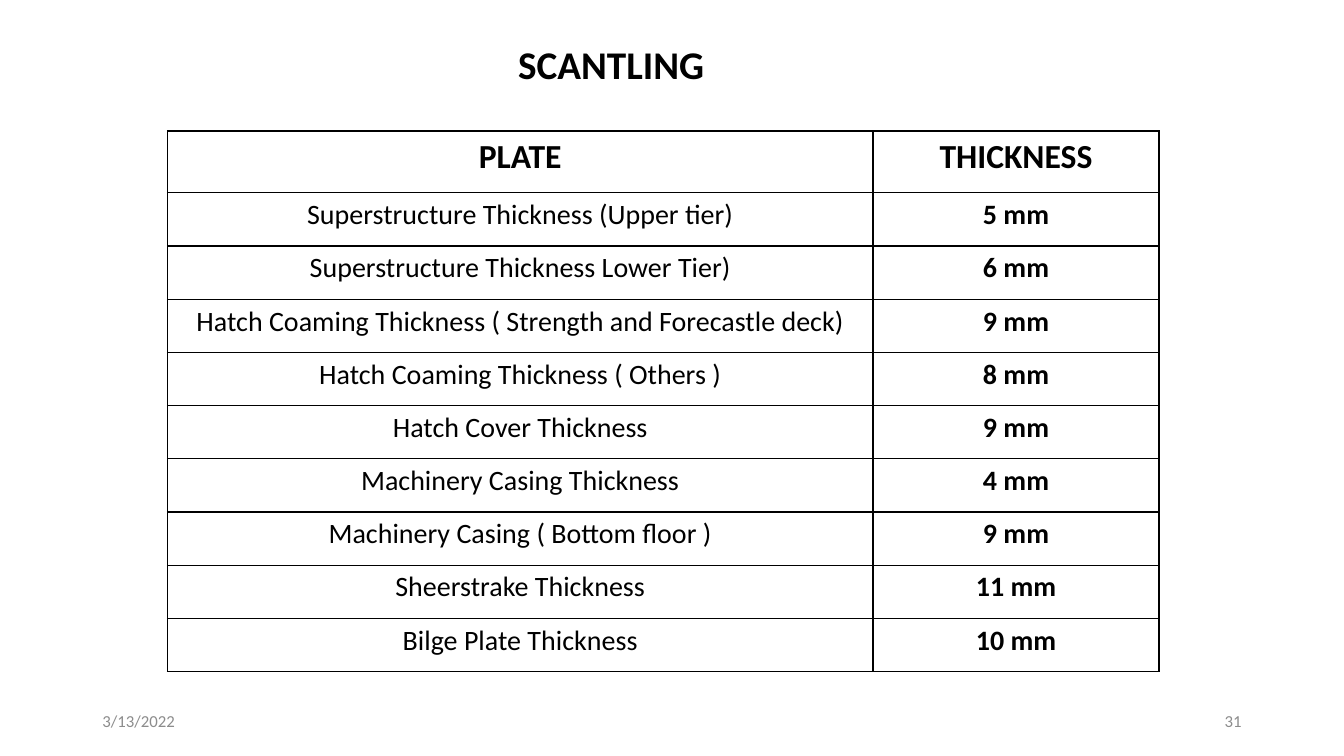
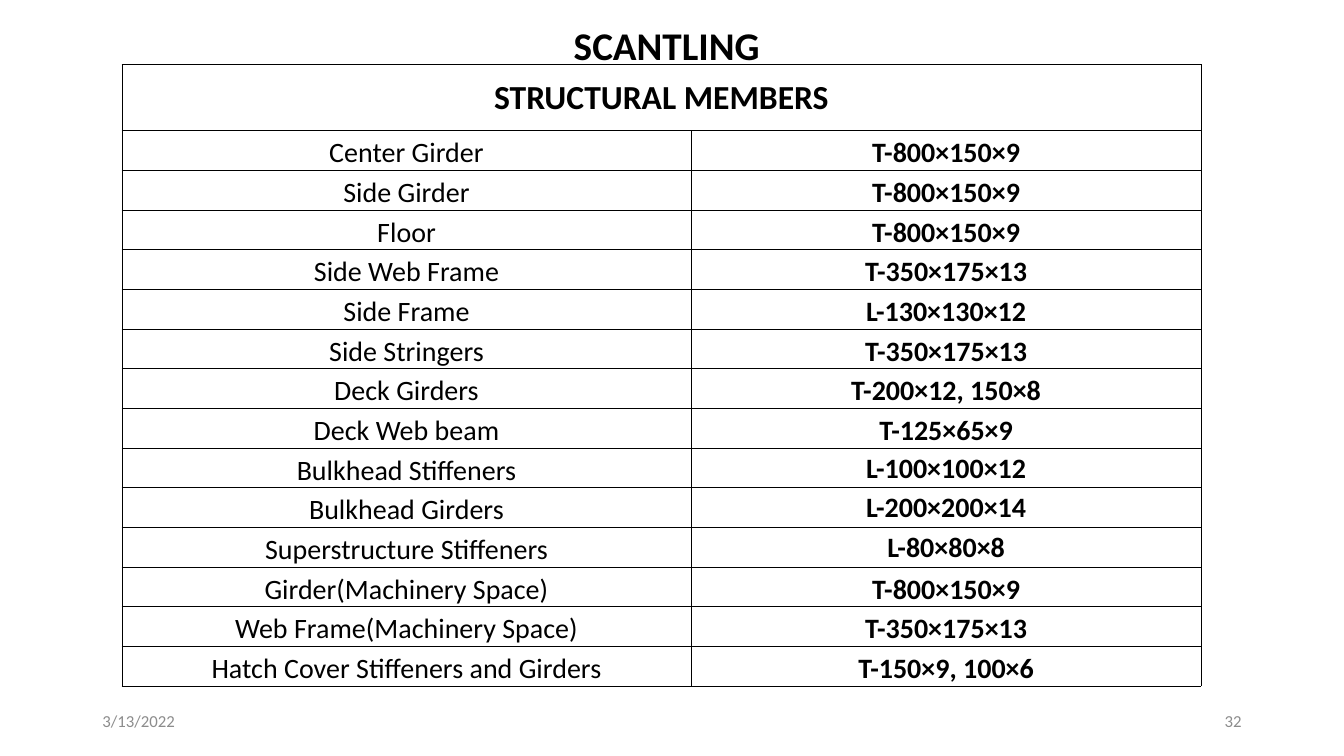
from lxml.etree import SubElement
from pptx import Presentation
from pptx.dml.color import RGBColor
from pptx.enum.text import MSO_ANCHOR, MSO_AUTO_SIZE, PP_ALIGN
from pptx.oxml.ns import qn
from pptx.util import Cm, Pt

FONT, BLACK, GREY, WHITE = "Calibri", "000000", "8C8C8C", "FFFFFF"
TITLE, DATE = "SCANTLING", "3/13/2022"
TOP, MID, LOW = MSO_ANCHOR.TOP, MSO_ANCHOR.MIDDLE, MSO_ANCHOR.BOTTOM

PLATES = [
    ("PLATE", "THICKNESS"),
    ("Superstructure Thickness (Upper tier)", "5 mm"),
    ("Superstructure Thickness Lower Tier)", "6 mm"),
    ("Hatch Coaming Thickness ( Strength and Forecastle deck)", "9 mm"),
    ("Hatch Coaming Thickness ( Others )", "8 mm"),
    ("Hatch Cover Thickness", "9 mm"),
    ("Machinery Casing Thickness", "4 mm"),
    ("Machinery Casing ( Bottom floor )", "9 mm"),
    ("Sheerstrake Thickness", "11 mm"),
    ("Bilge Plate Thickness", "10 mm"),
]
MEMBERS = [
    ("STRUCTURAL MEMBERS", ""),
    ("Center Girder", "T-800×150×9"),
    ("Side Girder", "T-800×150×9"),
    ("Floor", "T-800×150×9"),
    ("Side Web Frame", "T-350×175×13"),
    ("Side Frame", "L-130×130×12"),
    ("Side Stringers", "T-350×175×13"),
    ("Deck Girders", "T-200×12, 150×8"),
    ("Deck Web beam", "T-125×65×9"),
    ("Bulkhead Stiffeners", "L-100×100×12"),
    ("Bulkhead Girders", "L-200×200×14"),
    ("Superstructure Stiffeners", "L-80×80×8"),
    ("Girder(Machinery Space)", "T-800×150×9"),
    ("Web Frame(Machinery Space)", "T-350×175×13"),
    ("Hatch Cover Stiffeners and Girders", "T-150×9, 100×6"),
]
RAISED = {"L-100×100×12", "L-200×200×14", "L-80×80×8"}

# Lengths in cm; heights are header row, then body rows
SLIDES = [
    dict(page=31, title=(12.6, 0.89), rows=PLATES, at=(4.22, 3.3),
         widths=(17.78, 7.21), heights=(1.56, 1.34), line=1,
         pad=(0.25, 0.13, 0.13), head=TOP, body=TOP),
    dict(page=32, title=(14, 0.41), rows=MEMBERS, at=(3.07, 1.63),
         widths=(14.35, 12.85), heights=(1.66, 1), line=0.5,
         pad=(0.03, 0.03, 0), head=MID, body=LOW),
]


def color(code):
    return RGBColor.from_string(code)


def write(frame, text, size, bold=False, tint=BLACK, align=PP_ALIGN.CENTER):
    frame.text = text
    para = frame.paragraphs[0]
    para.alignment = align
    font = para.font
    font.name, font.size, font.bold = FONT, Pt(size), bold
    font.color.rgb = color(tint)


def add_title(slide, left, top):
    title = slide.shapes.title
    title.left, title.top, title.width, title.height = map(
        Cm, (left, top, 5.6, 1.45))
    frame = title.text_frame
    frame.auto_size = MSO_AUTO_SIZE.NONE
    frame.vertical_anchor = TOP
    write(frame, TITLE, 28, True)


def add_foot(slide, left, text, align):
    frame = slide.shapes.add_textbox(
        *map(Cm, (left, 17.65, 7.62, 1.02))).text_frame
    frame.word_wrap = True
    frame.vertical_anchor = MID
    write(frame, text, 12, tint=GREY, align=align)


def border(cell, width):
    props = cell._tc.get_or_add_tcPr()
    for side in ("lnL", "lnR", "lnT", "lnB"):
        line = SubElement(props, qn("a:" + side), w=str(Pt(width)))
        fill = SubElement(line, qn("a:solidFill"))
        SubElement(fill, qn("a:srgbClr"), val=BLACK)


def style(cell, item):
    border(cell, item["line"])
    cell.fill.solid()
    cell.fill.fore_color.rgb = color(WHITE)
    side, top, base = map(Cm, item["pad"])
    cell.margin_left = cell.margin_right = side
    cell.margin_top, cell.margin_bottom = top, base


def add_grid(slide, item):
    rows, widths = item["rows"], item["widths"]
    head, body = item["heights"]
    tall = head + body * (len(rows) - 1)
    table = slide.shapes.add_table(
        len(rows), len(widths),
        *map(Cm, (*item["at"], sum(widths), tall))).table
    table.first_row = table.horz_banding = False
    for col, width in zip(table.columns, widths):
        col.width = Cm(width)
    for r, row in enumerate(rows):
        table.rows[r].height = Cm(body if r else head)
        for c, text in enumerate(row):
            cell = table.cell(r, c)
            style(cell, item)
            cell.vertical_anchor = (
                MID if text in RAISED else item["body" if r else "head"])
            if text:
                write(cell.text_frame, text, 20 if r else 24, r == 0 or c == 1)
    if not rows[0][1]:
        table.cell(0, 0).merge(table.cell(0, 1))


def main():
    prs = Presentation()
    prs.slide_width, prs.slide_height = Cm(33.87), Cm(19.05)
    for item in SLIDES:
        slide = prs.slides.add_slide(prs.slide_layouts[5])
        add_title(slide, *item["title"])
        add_foot(slide, 2.33, DATE, PP_ALIGN.LEFT)
        add_foot(slide, 23.92, str(item["page"]), PP_ALIGN.RIGHT)
        add_grid(slide, item)
    prs.save("out.pptx")


if __name__ == "__main__":
    main()
